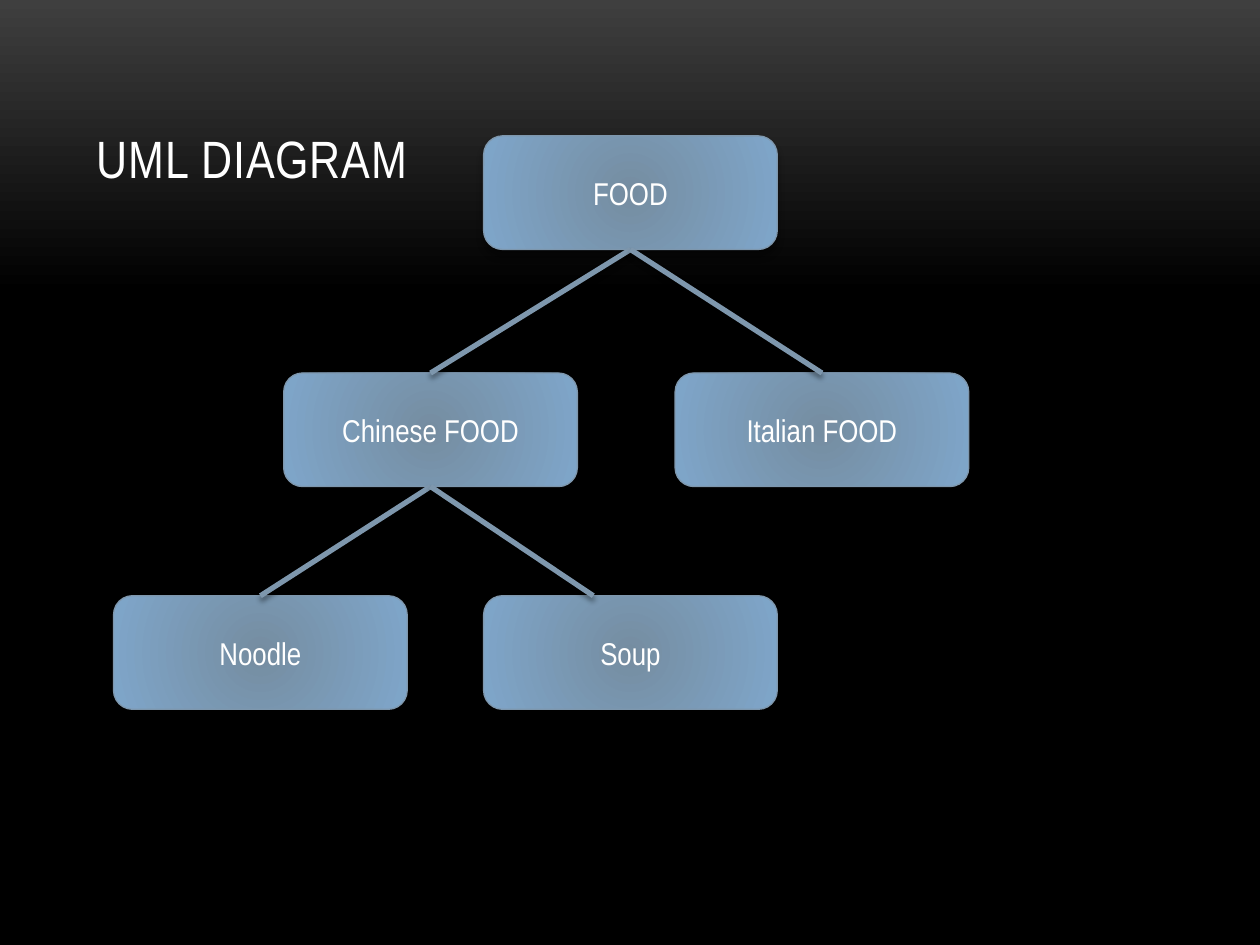
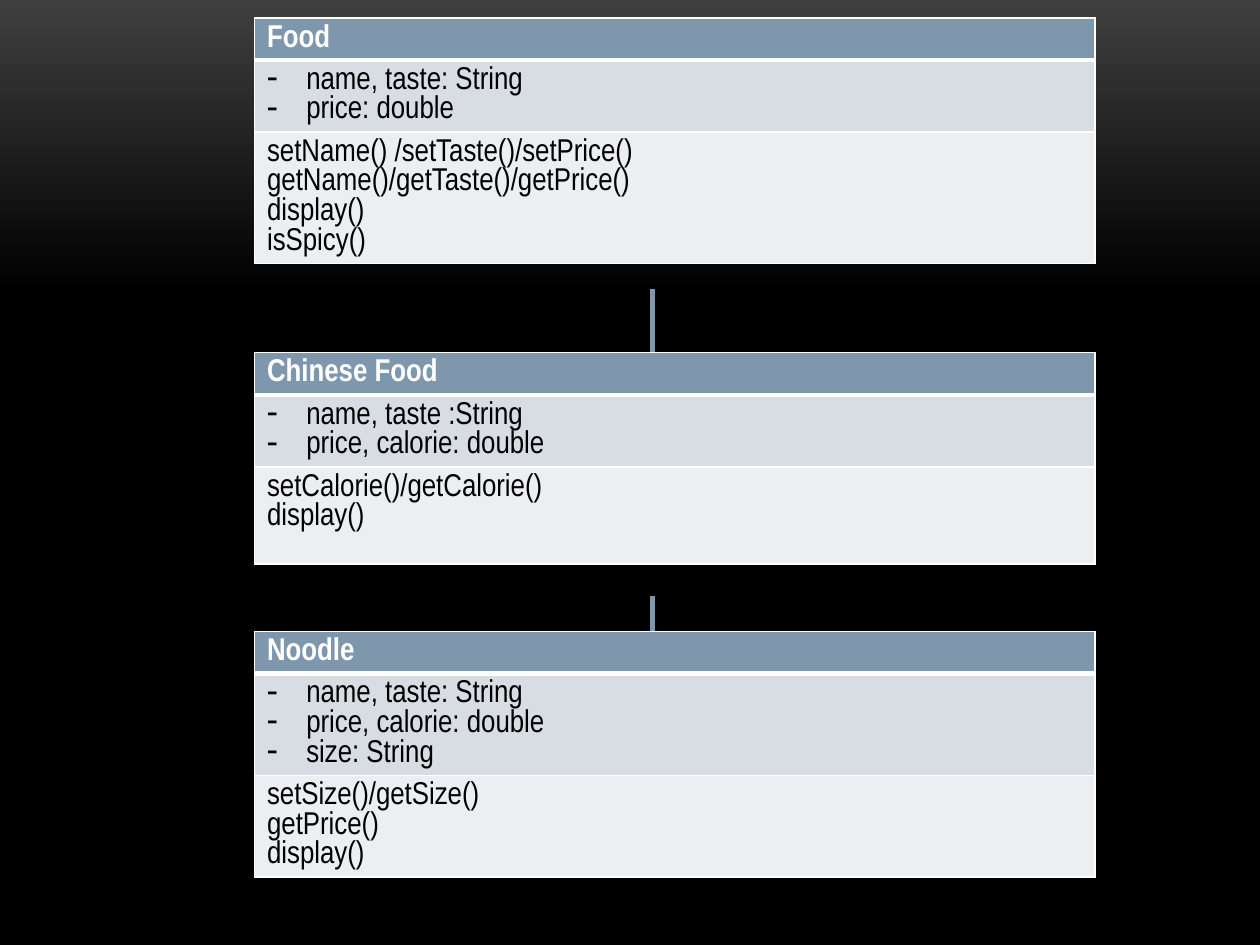
from lxml.etree import SubElement
from pptx import Presentation
from pptx.dml.color import RGBColor
from pptx.enum.shapes import MSO_CONNECTOR as Connector, MSO_SHAPE as Preset
from pptx.enum.text import MSO_ANCHOR as Anchor, PP_ALIGN as Align
from pptx.oxml.ns import qn
from pptx.util import Cm, Pt

FONT = "Arial Narrow"
COLORS = {
    "glow": "3F3F3F", "black": "000000", "white": "FFFFFF", "steel": "7E97AD",
    "box_center": "758DA1", "box_edge": "7FA6CA",
    "attributes": "D8DDE3", "methods": "ECEFF1",
}
FORMATS = {
    "title": {"size": Pt(30), "color": "white"},
    "box": {"size": Pt(18), "color": "white"},
    "header": {"size": Pt(18), "color": "white", "bold": True},
    "body": {"size": Pt(18), "color": "black", "bold": False},
}

TITLE = "UML DIAGRAM"
BOX_WIDTH, BOX_HEIGHT = 5.92, 2.29
BOXES = {
    "Italian FOOD": (13.61, 7.52),
    "Chinese FOOD": (5.72, 7.52),
    "FOOD": (9.75, 2.74),
    "Noodle": (2.29, 12.01),
    "Soup": (9.75, 12.01),
}
LINKS = [
    ("FOOD", "Chinese FOOD", 0),
    ("FOOD", "Italian FOOD", 0),
    ("Chinese FOOD", "Noodle", 0),
    ("Chinese FOOD", "Soup", -0.75),
]

TABLE_LEFT, TABLE_WIDTH = 5.13, 16.94
LINE_HEIGHT, CELL_PADDING, METHODS_MINIMUM = 0.6, 0.25, 1.96
CLASSES = [
    (0.36, "Food", ["name, taste: String", "price: double"],
     ["setName() /setTaste()/setPrice()", "getName()/getTaste()/getPrice()",
      "display()", "isSpicy()"]),
    (7.11, "Chinese Food", ["name, taste :String", "price, calorie: double"],
     ["setCalorie()/getCalorie()", "display()"]),
    (12.73, "Noodle",
     ["name, taste: String", "price, calorie: double", "size: String"],
     ["setSize()/getSize()", "getPrice()", "display()"]),
]
INHERITANCE_X = 13.16
INHERITANCE_SPANS = [(12.01, 13.61), (5.82, 7.44)]


def rgb(name):
    return RGBColor.from_string(COLORS[name])


def add_element(parent, tag, **attributes):
    values = {key: str(value) for key, value in attributes.items()}
    return SubElement(parent, qn(tag), values)


def set_gradient(fill, stops):
    fill.gradient()
    for stop, (position, color) in zip(fill.gradient_stops, stops):
        stop.position = position
        stop.color.rgb = rgb(color)


def write(paragraph, text, style):
    run = paragraph.add_run()
    run.text = text
    run.font.name = FONT
    for key, value in FORMATS[style].items():
        if key == "color":
            run.font.color.rgb = rgb(value)
        else:
            setattr(run.font, key, value)
    return run


def set_line(shape, width):
    shape.line.color.rgb = rgb("steel")
    shape.line.width = Pt(width)


def add_shadow(shape, blur, distance):
    effects = add_element(shape._element.spPr, "a:effectLst")
    shadow = add_element(effects, "a:outerShdw", blurRad=Pt(blur), dist=Pt(distance),
                         dir=5400000, rotWithShape=0)
    color = add_element(shadow, "a:srgbClr", val=COLORS["black"])
    add_element(color, "a:alpha", val=40000)


def add_title(slide, text):
    frame = slide.shapes.add_textbox(Cm(1.7), Cm(0.76), Cm(22.02), Cm(3.18)).text_frame
    frame.word_wrap = True
    frame.vertical_anchor = Anchor.BOTTOM
    run = write(frame.paragraphs[0], text, "title")
    run._r.get_or_add_rPr().set("spc", "50")


def add_box(slide, text, left, top):
    shape = slide.shapes.add_shape(Preset.ROUNDED_RECTANGLE, Cm(left), Cm(top),
                                   Cm(BOX_WIDTH), Cm(BOX_HEIGHT))
    set_gradient(shape.fill, [(0, "box_center"), (1, "box_edge")])
    gradient = shape._element.spPr.find(qn("a:gradFill"))
    gradient.remove(gradient.find(qn("a:lin")))
    circle = add_element(gradient, "a:path", path="circle")
    add_element(circle, "a:fillToRect", l=100000, t=100000, r=100000, b=100000)
    set_line(shape, 0.75)
    add_shadow(shape, 4, 3.4)
    shape.text_frame.vertical_anchor = Anchor.MIDDLE
    paragraph = shape.text_frame.paragraphs[0]
    paragraph.alignment = Align.CENTER
    write(paragraph, text, "box")


def add_link(slide, *ends):
    connector = slide.shapes.add_connector(Connector.STRAIGHT, *map(Cm, ends))
    set_line(connector, 3)
    add_shadow(connector, 3, 2)


def set_borders(cell, **widths):
    properties = cell._tc.get_or_add_tcPr()
    for side in "LRTB":
        border = add_element(properties, f"a:ln{side}", w=Pt(widths.get(side, 1)))
        fill = add_element(border, "a:solidFill")
        add_element(fill, "a:srgbClr", val=COLORS["white"])


def add_dash(paragraph):
    properties = paragraph._p.get_or_add_pPr()
    properties.set("marL", str(Cm(0.79)))
    properties.set("indent", str(-Cm(0.79)))
    add_element(properties, "a:buFontTx")
    add_element(properties, "a:buChar", char="-")


def add_class(slide, top, name, attributes, methods):
    rows = [
        ([name], "header", "steel", {"B": 3}),
        (attributes, "body", "attributes", {"T": 3}),
        (methods, "body", "methods", {}),
    ]
    heights = [len(lines) * LINE_HEIGHT + CELL_PADDING for lines, *_ in rows]
    heights[-1] = max(heights[-1], METHODS_MINIMUM)
    table = slide.shapes.add_table(len(rows), 1, Cm(TABLE_LEFT), Cm(top),
                                   Cm(TABLE_WIDTH), Cm(sum(heights))).table
    for index, (lines, style, color, borders) in enumerate(rows):
        table.rows[index].height = Cm(heights[index])
        cell = table.cell(index, 0)
        set_borders(cell, **borders)
        cell.fill.solid()
        cell.fill.fore_color.rgb = rgb(color)
        frame = cell.text_frame
        for number, line in enumerate(lines):
            paragraph = frame.add_paragraph() if number else frame.paragraphs[0]
            if lines is attributes:
                add_dash(paragraph)
            write(paragraph, line, style)


presentation = Presentation()
presentation.slide_width, presentation.slide_height = Cm(25.4), Cm(19.05)
background = presentation.slide_master.background.fill
set_gradient(background, [(0, "glow"), (0.31, "black")])
background.gradient_angle = 270
blank = presentation.slide_layouts[6]

tree_slide = presentation.slides.add_slide(blank)
add_title(tree_slide, TITLE)
for label, (left, top) in BOXES.items():
    add_box(tree_slide, label, left, top)
for parent, child, shift in LINKS:
    (parent_left, parent_top), (child_left, child_top) = BOXES[parent], BOXES[child]
    add_link(tree_slide, parent_left + BOX_WIDTH / 2, parent_top + BOX_HEIGHT,
             child_left + BOX_WIDTH / 2 + shift, child_top)

class_slide = presentation.slides.add_slide(blank)
for start, end in INHERITANCE_SPANS:
    add_link(class_slide, INHERITANCE_X, start, INHERITANCE_X, end)
for entry in CLASSES:
    add_class(class_slide, *entry)

presentation.save("out.pptx")
